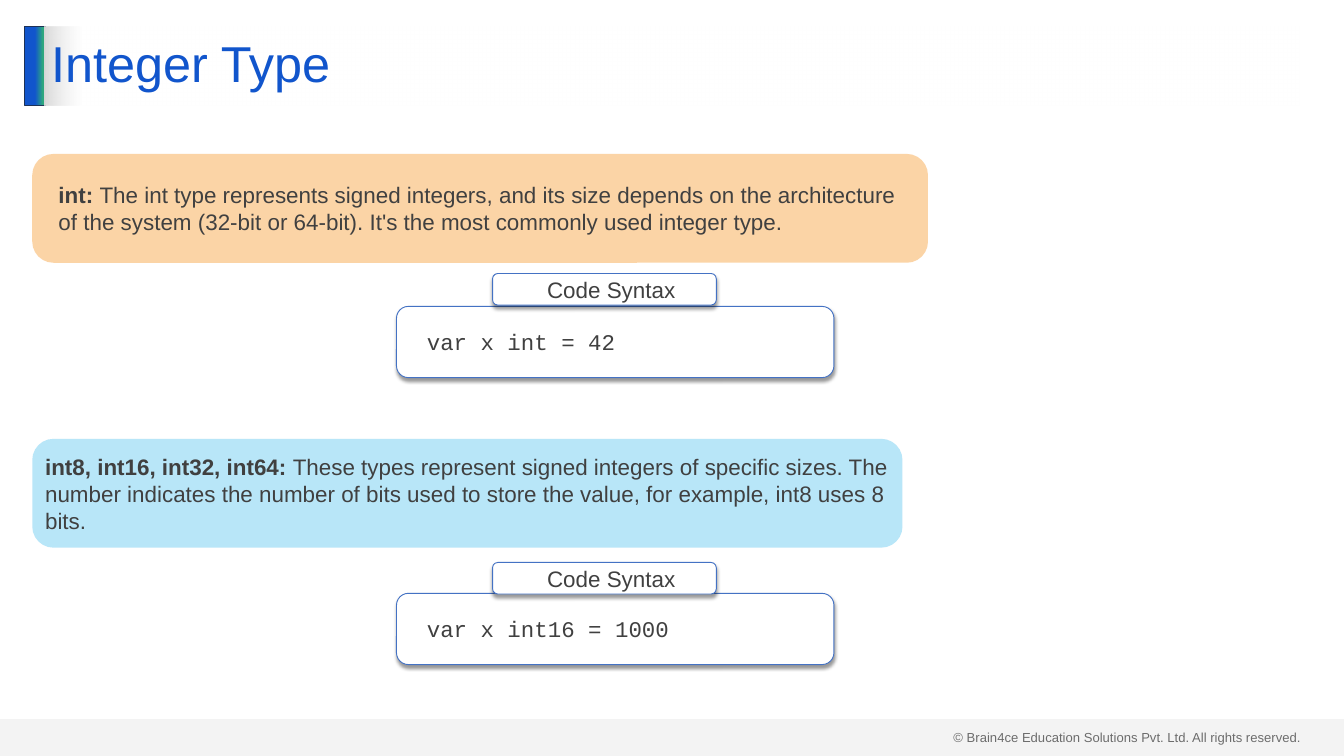
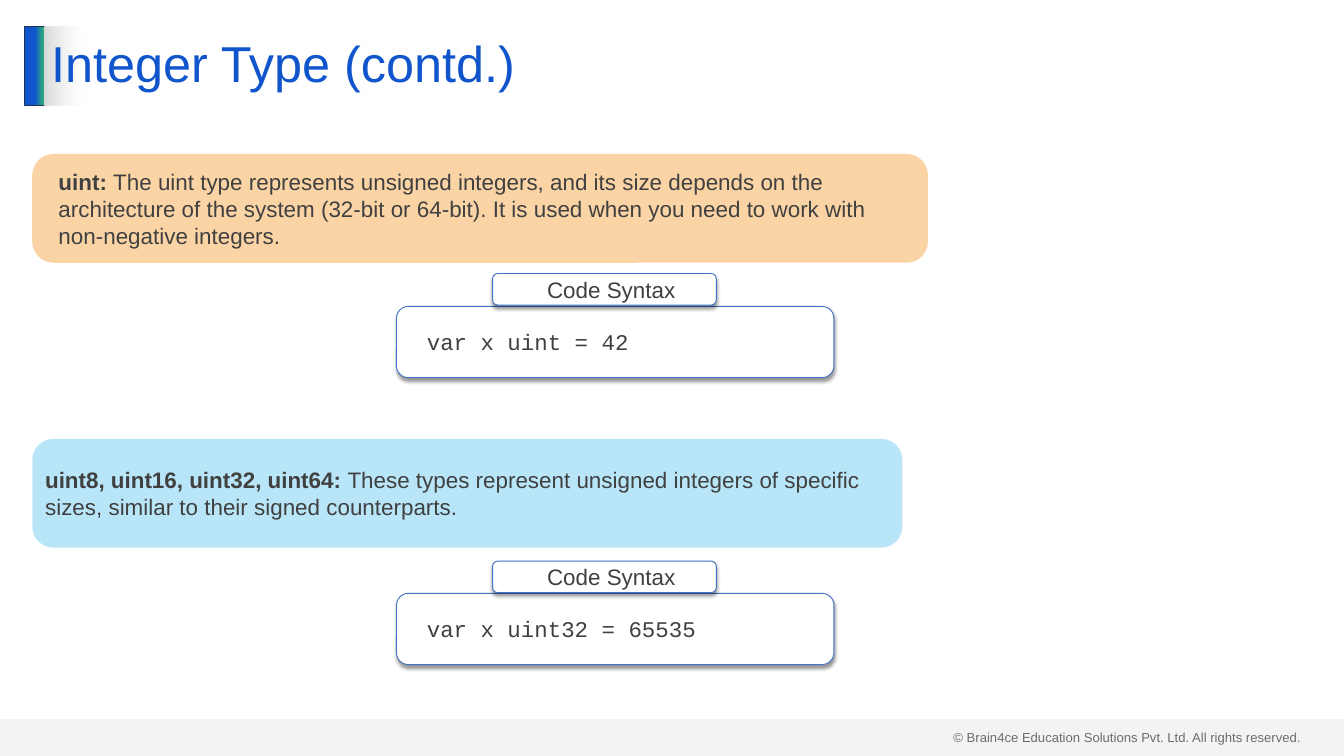
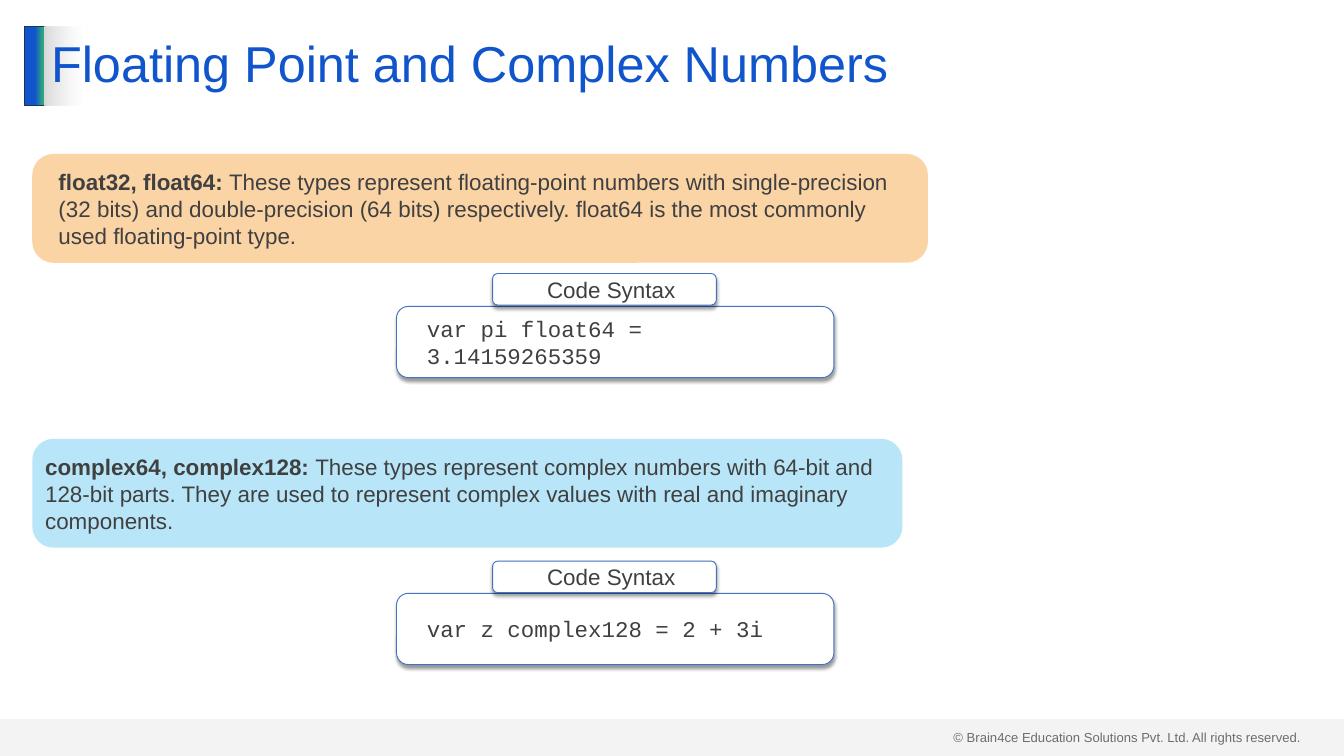
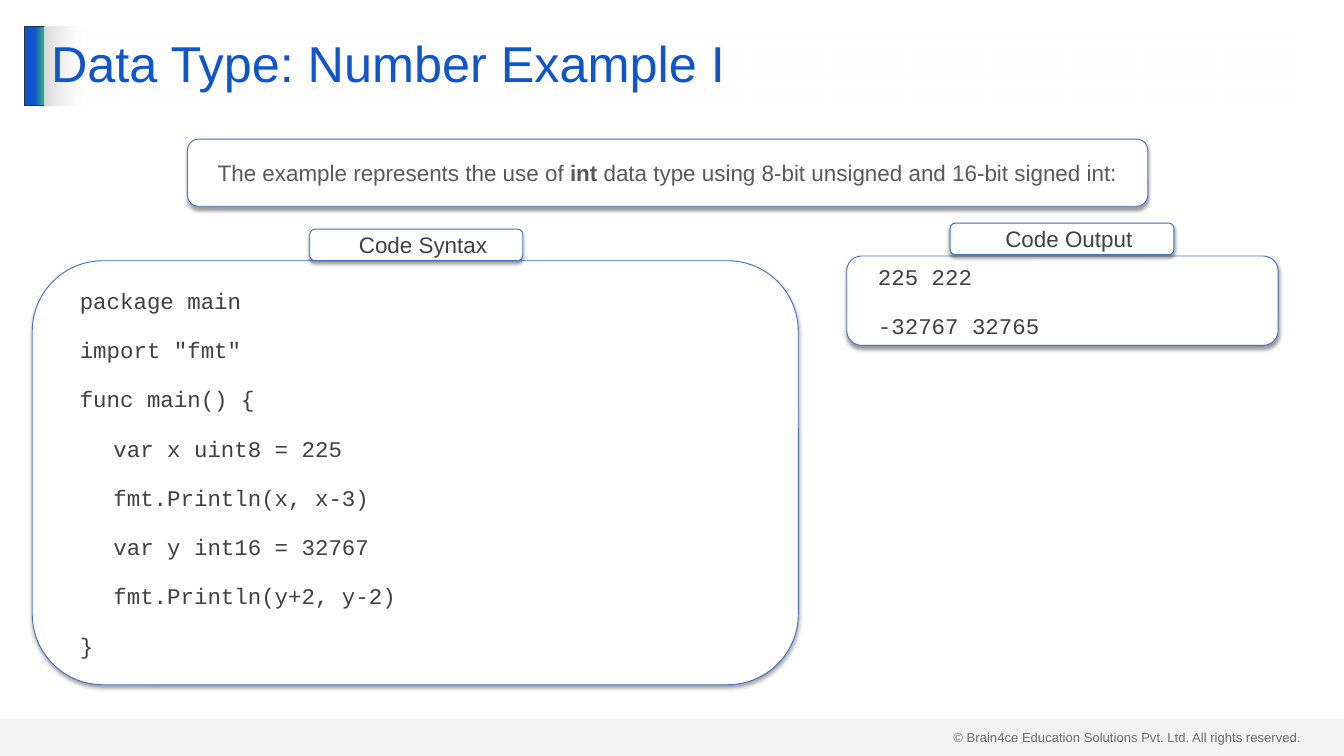
from lxml.etree import SubElement
from pptx import Presentation
from pptx.dml.color import RGBColor
from pptx.enum.shapes import MSO_SHAPE
from pptx.enum.text import MSO_ANCHOR, MSO_AUTO_SIZE, PP_ALIGN
from pptx.oxml.ns import qn
from pptx.util import Inches, Pt

COLORS = {
    "white": "FFFFFF",
    "blue": "1155CC",
    "green": "2EA87D",
    "navy": "1E3256",
    "outline": "4472C4",
    "gray": "D9D9D9",
    "text": "404040",
    "muted": "595959",
    "orange": "FABE79",
    "sky": "94DAF5",
    "shadow": "000000",
}
SANS = "Arial"
MONO = "Courier New"
COPYRIGHT = "© Brain4ce Education Solutions Pvt. Ltd. All rights reserved."

TYPE_SLIDES = [
    {
        "title": "Integer Type",
        "lower_label_top": 8.37,
        "upper": ("int: ", "The int type represents signed integers, and its size depends on the "
                  "architecture of the system (32-bit or 64-bit). It's the most commonly used integer type."),
        "upper_code": "var x int = 42",
        "lower": ("int8, int16, int32, int64: ", "These types represent signed integers of specific sizes. "
                  "The number indicates the number of bits used to store the value, for example, int8 uses 8 bits."),
        "lower_code": "var x int16 = 1000",
    },
    {
        "title": "Integer Type (contd.)",
        "lower_label_top": 8.35,
        "upper": ("uint: ", "The uint type represents unsigned integers, and its size depends on the "
                  "architecture of the system (32-bit or 64-bit). It is used when you need to work with "
                  "non-negative integers."),
        "upper_code": "var x uint = 42",
        "lower": ("uint8, uint16, uint32, uint64: ", "These types represent unsigned integers of specific "
                  "sizes, similar to their signed counterparts."),
        "lower_code": "var x uint32 = 65535",
    },
    {
        "title": "Floating Point and Complex Numbers",
        "lower_label_top": 8.35,
        "upper": ("float32, float64: ", "These types represent floating-point numbers with single-precision "
                  "(32 bits) and double-precision (64 bits) respectively. float64 is the most commonly used "
                  "floating-point type."),
        "upper_code": "var pi float64 = 3.14159265359",
        "lower": ("complex64, complex128: ", "These types represent complex numbers with 64-bit and 128-bit "
                  "parts. They are used to represent complex values with real and imaginary components."),
        "lower_code": "var z complex128 = 2 + 3i",
    },
]

PROGRAM = [
    "package main",
    'import "fmt"',
    "func main() {",
    "\tvar x uint8 = 225",
    "\tfmt.Println(x, x-3)",
    "\tvar y int16 = 32767",
    "\tfmt.Println(y+2, y-2)",
    "}",
]


def rgb(name):
    return RGBColor.from_string(COLORS[name])


def write_text(frame, paragraphs, size=24, font=SANS, color="text", align=PP_ALIGN.LEFT,
               indent=0, spacing=0, line_spacing=None):
    frame.word_wrap = True
    for index, content in enumerate(paragraphs):
        paragraph = frame.add_paragraph() if index else frame.paragraphs[0]
        paragraph.alignment = align
        paragraph.line_spacing = line_spacing
        paragraph.space_before = Pt(spacing if index else 0)
        paragraph.space_after = Pt(spacing)
        if indent:
            paragraph.level = 1
            properties = paragraph._p.get_or_add_pPr()
            properties.set("marL", str(Inches(indent)))
            properties.set("indent", "0")
        segments = [(content, False)] if isinstance(content, str) else content
        for text, bold in segments:
            run = paragraph.add_run()
            run.text = text
            run.font.name = font
            run.font.size = Pt(size)
            run.font.bold = bold
            run.font.color.rgb = rgb(color)


def set_alpha(color_element, percent):
    SubElement(color_element, qn("a:alpha"), val=str(percent * 1000))


def set_gradient(shape, stops):
    shape.fill.gradient()
    shape.fill.gradient_angle = 0
    stop_list = shape.element.spPr.find(".//" + qn("a:gsLst"))
    for stop in list(stop_list):
        stop_list.remove(stop)
    for position, color, alpha in stops:
        stop = SubElement(stop_list, qn("a:gs"), pos=str(position * 1000))
        color_element = SubElement(stop, qn("a:srgbClr"), val=COLORS[color])
        if alpha < 100:
            set_alpha(color_element, alpha)


def add_block(slide, kind, box, fill=None, alpha=100, line=None):
    shape = slide.shapes.add_shape(kind, *map(Inches, box))
    shape.shadow.inherit = False
    if fill:
        shape.fill.solid()
        shape.fill.fore_color.rgb = rgb(fill)
        if alpha < 100:
            set_alpha(shape.element.spPr.find(".//" + qn("a:srgbClr")), alpha)
    if line:
        shape.line.color.rgb = rgb(line)
        shape.line.width = Pt(1)
    else:
        shape.line.fill.background()
    shape.text_frame.vertical_anchor = MSO_ANCHOR.MIDDLE
    return shape


def add_shadow(shape):
    effects = shape.element.spPr.find(qn("a:effectLst"))
    shadow = SubElement(effects, qn("a:outerShdw"), blurRad=str(Pt(4)), dist=str(Pt(3)),
                        dir="5400000", algn="t", rotWithShape="0")
    set_alpha(SubElement(shadow, qn("a:srgbClr"), val=COLORS["shadow"]), 40)


def add_card(slide, box, paragraphs, **text_format):
    card = add_block(slide, MSO_SHAPE.ROUNDED_RECTANGLE, box, fill="white", line="outline")
    add_shadow(card)
    frame = card.text_frame
    frame.margin_left = frame.margin_right = Inches(0.2)
    frame.margin_top = frame.margin_bottom = Inches(0.1)
    write_text(frame, paragraphs, indent=0.2, spacing=12, **text_format)


def add_code(slide, box, lines):
    add_card(slide, box, lines, font=MONO)


def add_label(slide, left, top, text="Code Syntax", width=3.33):
    add_card(slide, (left, top, width, 0.47), [text], align=PP_ALIGN.CENTER)


def add_definition(slide, top, width, fill, term, meaning, **text_format):
    shape = add_block(slide, MSO_SHAPE.ROUNDED_RECTANGLE, (0.48, top, width, 1.62), fill=fill, alpha=66)
    shape.adjustments[0] = 0.195
    write_text(shape.text_frame, [[(term, True), (meaning, False)]], **text_format)


def decorate_layout(layout, slide):
    footer = slide.shapes.add_textbox(*map(Inches, (14.09, 10.8, 5.41, 0.34)))
    write_text(footer.text_frame, [COPYRIGHT], size=14)
    accent = add_block(slide, MSO_SHAPE.RECTANGLE, (0.37, 0.39, 0.3, 1.18), line="navy")
    set_gradient(accent, [(51, "blue", 100), (90, "green", 100), (100, "green", 100)])
    band = add_block(slide, MSO_SHAPE.RECTANGLE, (0, 10.7, 20, 0.55), fill="gray", alpha=29)
    for shape in (footer, accent, band):
        layout.shapes.element.append(shape.element)


def add_titled_slide(presentation, layout, text):
    slide = presentation.slides.add_slide(layout)
    title = slide.shapes.title
    title.left, title.top, title.width, title.height = map(Inches, (0.66, 0.39, 18.67, 1.18))
    set_gradient(title, [(0, "gray", 100), (0, "gray", 100), (3, "white", 50)])
    title.text_frame.auto_size = MSO_AUTO_SIZE.NONE
    title.text_frame.vertical_anchor = MSO_ANCHOR.MIDDLE
    write_text(title.text_frame, [text], size=54, color="blue", line_spacing=0.9)
    return slide


def fill_type_slide(slide, content):
    add_definition(slide, 2.29, 13.33, "orange", *content["upper"], indent=0.2, spacing=12)
    add_definition(slide, 6.53, 12.95, "sky", *content["lower"])
    for code_top, label_top, code in (
        (4.56, 4.07, content["upper_code"]),
        (8.83, content["lower_label_top"], content["lower_code"]),
    ):
        add_code(slide, (5.9, code_top, 6.51, 1.06), [code])
        add_label(slide, 7.33, label_top)


def fill_example_slide(slide):
    add_code(slide, (0.48, 3.88, 11.4, 6.31), PROGRAM)
    add_code(slide, (12.6, 3.81, 6.42, 1.33), ["225 222", "-32767 32765"])
    add_label(slide, 4.61, 3.41, width=3.17)
    add_label(slide, 14.14, 3.32, "Code Output")
    summary = [
        ("The example represents the use of ", False),
        ("int", True),
        (" data type using 8-bit unsigned and 16-bit signed int:", False),
    ]
    add_card(slide, (2.79, 2.07, 14.29, 1), [summary], color="muted")


def main():
    presentation = Presentation()
    presentation.slide_width = Inches(20)
    presentation.slide_height = Inches(11.25)
    layout = presentation.slide_layouts.get_by_name("Title Only")
    for content in TYPE_SLIDES:
        slide = add_titled_slide(presentation, layout, content["title"])
        fill_type_slide(slide, content)
    example = add_titled_slide(presentation, layout, "Data Type: Number Example I")
    fill_example_slide(example)
    decorate_layout(layout, example)
    presentation.save("out.pptx")


if __name__ == "__main__":
    main()
